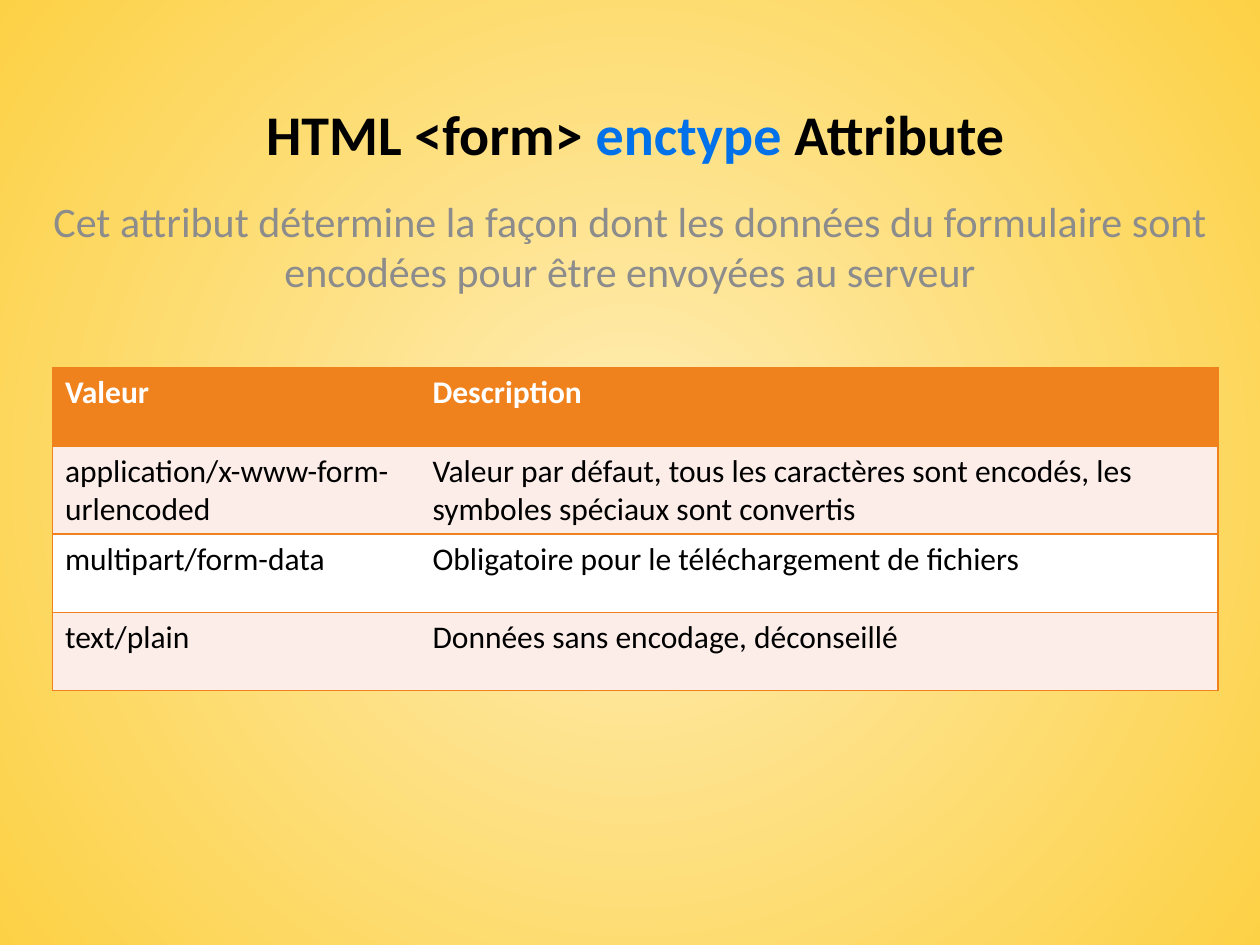
from lxml.etree import SubElement
from pptx import Presentation
from pptx.dml.color import RGBColor
from pptx.enum.text import MSO_ANCHOR, PP_ALIGN
from pptx.oxml import parse_xml
from pptx.oxml.ns import nsdecls, qn
from pptx.util import Pt

BLACK = RGBColor(0x00, 0x00, 0x00)
WHITE = RGBColor(0xFF, 0xFF, 0xFF)
GREY = RGBColor(0x8C, 0x8C, 0x8C)
BLUE = RGBColor(0x00, 0x71, 0xE9)
ORANGE = RGBColor(0xF0, 0x82, 0x1E)
PINK = RGBColor(0xFC, 0xED, 0xE8)
PALE_YELLOW = RGBColor(0xFE, 0xED, 0xB5)
YELLOW = RGBColor(0xFD, 0xD1, 0x46)

TITLE = [("HTML <form> ", BLACK), ("enctype ", BLUE), ("Attribute", BLACK)]
SUBTITLE = ("Cet attribut détermine la façon dont les données du formulaire "
            "sont encodées pour être envoyées au serveur")
ROWS = [
    ("Valeur", "Description"),
    ("application/x-www-form-urlencoded",
     "Valeur par défaut, tous les caractères sont encodés, "
     "les symboles spéciaux sont convertis"),
    ("multipart/form-data", "Obligatoire pour le téléchargement de fichiers"),
    ("text/plain", "Données sans encodage, déconseillé"),
]
COLUMN_WIDTHS = (210, 456)
ROW_HEIGHT = 44.75


def add_run(p, text, color, size, bold=False):
    r = p.add_run()
    r.text = text
    r.font.color.rgb = color
    for name, value in {"name": "Calibri", "size": Pt(size), "bold": bold}.items():
        setattr(r.font, name, value)


def add_text(s, box, runs, size, anchor, bold=False):
    tf = s.shapes.add_textbox(*map(Pt, box)).text_frame
    tf.word_wrap = True
    tf.vertical_anchor = anchor
    p = tf.paragraphs[0]
    p.alignment = PP_ALIGN.CENTER
    for text, color in runs:
        add_run(p, text, color, size, bold)


def set_background(s):
    fill = s.background.fill
    fill.gradient()
    for stop, color in zip(fill.gradient_stops, (PALE_YELLOW, YELLOW)):
        stop.color.rgb = color
    # Turn the linear gradient into a circular one
    grad = s.background._cSld.find(".//" + qn("a:gradFill"))
    grad.remove(grad.find(qn("a:lin")))
    circle = SubElement(grad, qn("a:path"), path="circle")
    SubElement(circle, qn("a:fillToRect"), l="50000", t="50000", r="50000", b="50000")


def set_borders(cell, visible):
    tc_pr = cell._tc.get_or_add_tcPr()
    for i, side in enumerate("LRTB"):
        paint = (f'<a:solidFill><a:srgbClr val="{ORANGE}"/></a:solidFill>'
                 if side in visible else "<a:noFill/>")
        tc_pr.insert(i, parse_xml(
            f'<a:ln{side} {nsdecls("a")} w="12700">{paint}</a:ln{side}>'))


def add_values_table(s):
    table = s.shapes.add_table(
        len(ROWS), len(COLUMN_WIDTHS), Pt(30), Pt(210),
        Pt(sum(COLUMN_WIDTHS)), Pt(ROW_HEIGHT * len(ROWS))).table
    table.horz_banding = False
    for column, width in zip(table.columns, COLUMN_WIDTHS):
        column.width = Pt(width)
    for i, texts in enumerate(ROWS):
        table.rows[i].height = Pt(ROW_HEIGHT)
        header = i == 0
        fill = ORANGE if header else (WHITE, PINK)[i % 2]
        for j, text in enumerate(texts):
            cell = table.cell(i, j)
            cell.fill.solid()
            cell.fill.fore_color.rgb = fill
            set_borders(cell, ("LTB", "RTB")[j])
            add_run(cell.text_frame.paragraphs[0], text,
                    WHITE if header else BLACK, 18, header)


def main():
    prs = Presentation()
    prs.slide_width, prs.slide_height = Pt(720), Pt(540)
    s = prs.slides.add_slide(prs.slide_layouts[6])
    set_background(s)

    # Heading and explanation
    add_text(s, (6, 18, 714, 116), TITLE, 32, MSO_ANCHOR.MIDDLE, bold=True)
    add_text(s, (18, 108, 684, 348), [(SUBTITLE, GREY)], 24, MSO_ANCHOR.TOP)

    # Attribute values
    add_values_table(s)
    prs.save("out.pptx")


if __name__ == "__main__":
    main()
